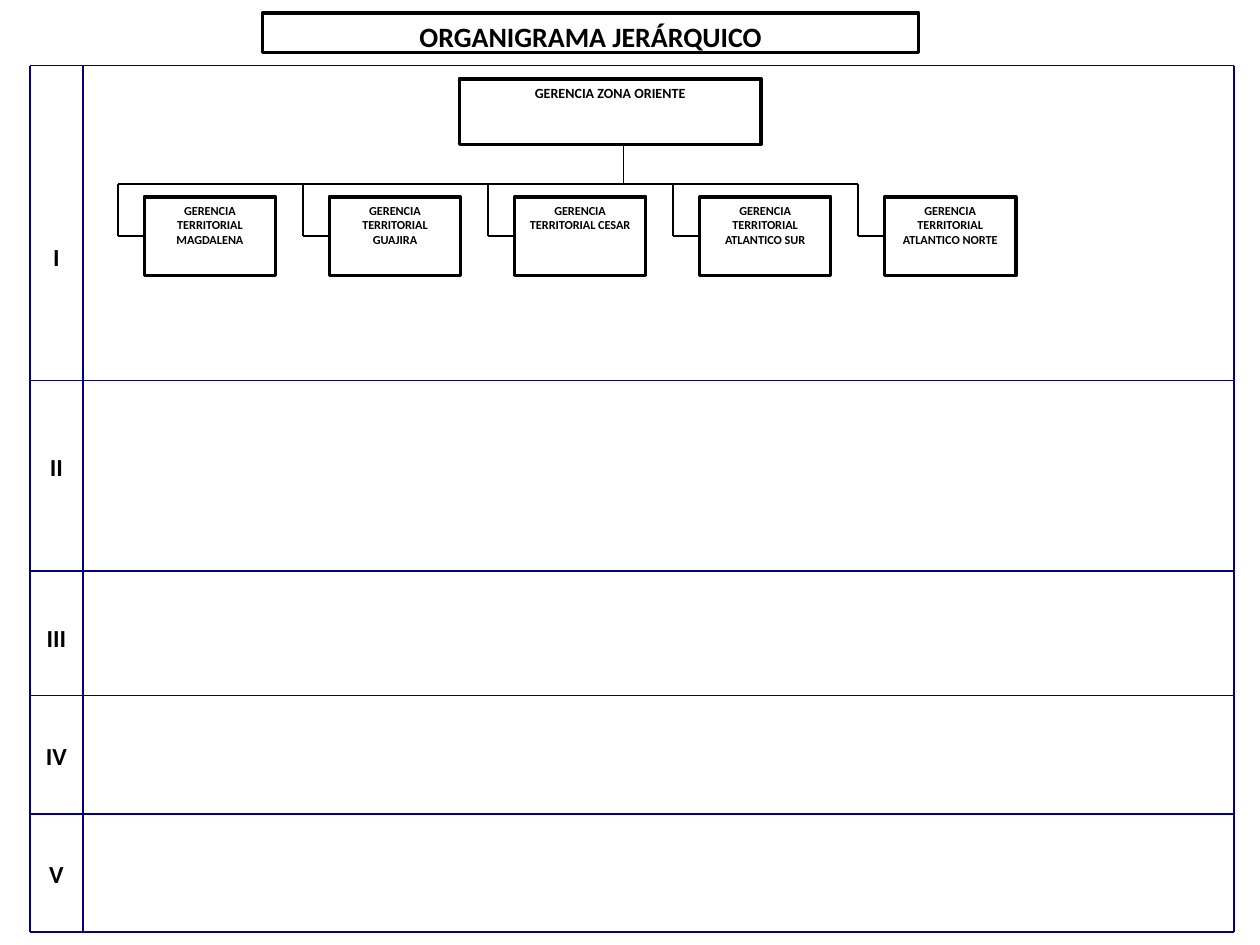
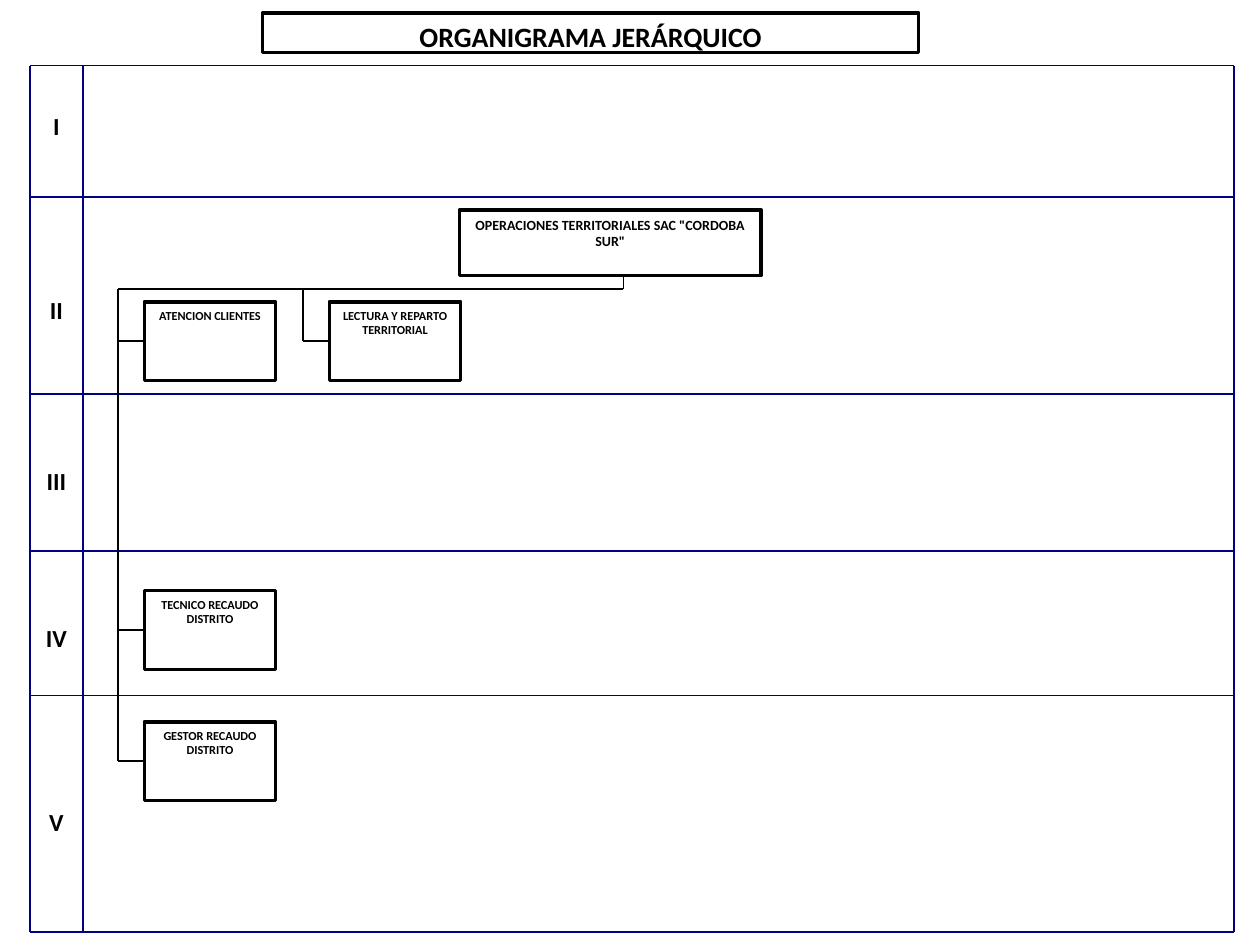
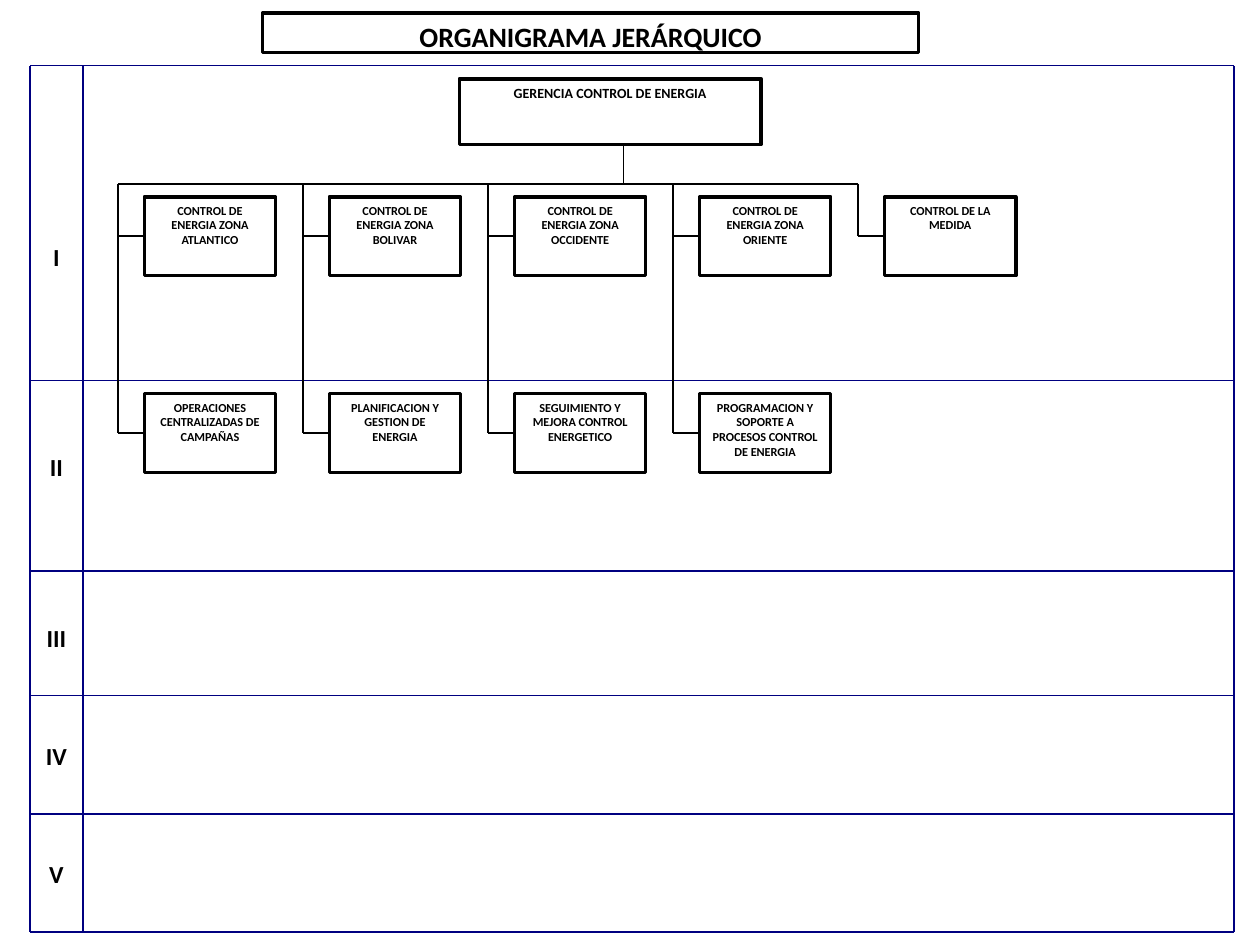
from pptx import Presentation
from pptx.dml.color import RGBColor
from pptx.enum.shapes import MSO_CONNECTOR, MSO_SHAPE
from pptx.enum.text import MSO_ANCHOR, PP_ALIGN
from pptx.oxml.ns import qn
from pptx.util import Pt
from lxml import etree

RECT = MSO_SHAPE.RECTANGLE
STRAIGHT = MSO_CONNECTOR.STRAIGHT
TOP = MSO_ANCHOR.TOP
CENTER = PP_ALIGN.CENTER

BLACK = RGBColor(0x00, 0x00, 0x00)
NAVY = RGBColor(0x00, 0x00, 0x80)
FONT = "Calibri"
PX = 9525  # EMU per px, 96 px to the inch

# Frame of hierarchy levels
FRAME_LEFT, LABEL_RIGHT, FRAME_RIGHT = 23, 63, 940
FRAME_TOP, FRAME_BOTTOM = 50, 710
LABEL_H = 30

# Organisation chart grid
HEAD_X, HEAD_W, HEAD_H = 350, 230, 50
STEM_X = 475
BRANCH_X, COLUMN_STEP = 90, 141
UNIT_INDENT, UNIT_W, UNIT_H = 20, 100, 60

# Each level: numeral, top of its label, bottom of its band
WIDE_FIRST_LEVELS = [("I", 180, 290), ("II", 340, 435), ("III", 470, 530),
                     ("IV", 560, 620), ("V", 650, FRAME_BOTTOM)]
WIDE_LAST_LEVELS = [("I", 80, 150), ("II", 220, 300), ("III", 350, 420),
                    ("IV", 470, 530), ("V", 610, FRAME_BOTTOM)]

# Each chart: levels, head, head top, bus height, rows of units by top
CHARTS = [
    (WIDE_FIRST_LEVELS, "GERENCIA ZONA ORIENTE", 60, 140, {
        150: ["GERENCIA TERRITORIAL MAGDALENA",
              "GERENCIA TERRITORIAL GUAJIRA",
              "GERENCIA TERRITORIAL CESAR",
              "GERENCIA TERRITORIAL ATLANTICO SUR",
              "GERENCIA TERRITORIAL ATLANTICO NORTE"],
    }),
    (WIDE_LAST_LEVELS, 'OPERACIONES TERRITORIALES SAC "CORDOBA SUR"', 160, 220, {
        230: ["ATENCION CLIENTES", "LECTURA Y REPARTO TERRITORIAL"],
        450: ["TECNICO RECAUDO DISTRITO"],
        550: ["GESTOR RECAUDO DISTRITO"],
    }),
    (WIDE_FIRST_LEVELS, "GERENCIA CONTROL DE ENERGIA", 60, 140, {
        150: ["CONTROL DE ENERGIA ZONA ATLANTICO",
              "CONTROL DE ENERGIA ZONA BOLIVAR",
              "CONTROL DE ENERGIA ZONA OCCIDENTE",
              "CONTROL DE ENERGIA ZONA ORIENTE",
              "CONTROL DE LA MEDIDA"],
        300: ["OPERACIONES CENTRALIZADAS DE CAMPAÑAS",
              "PLANIFICACION Y GESTION DE ENERGIA",
              "SEGUIMIENTO Y MEJORA CONTROL ENERGETICO",
              "PROGRAMACION Y SOPORTE A PROCESOS CONTROL DE ENERGIA"],
    }),
]


def px(*lengths):
    return [n * PX for n in lengths]


def write(sp, text, size):
    tf = sp.text_frame
    tf.word_wrap = True
    tf.vertical_anchor = TOP
    p = tf.paragraphs[0]
    p.alignment = CENTER
    r = p.add_run()
    r.text = text
    r.font.name = FONT
    r.font.size = Pt(size)
    r.font.bold = True
    r.font.color.rgb = BLACK


def add_box(s, x, y, w, h, text, size):
    sp = s.shapes.add_shape(RECT, *px(x, y, w, h))
    sp.shadow.inherit = False
    sp.fill.background()
    sp.line.color.rgb = BLACK
    sp.line.width = Pt(2)
    write(sp, text, size)
    return sp


def add_line(s, x1, y1, x2, y2, color=BLACK):
    line = s.shapes.add_connector(STRAIGHT, *px(x1, y1, x2, y2))
    line.line.color.rgb = color
    line.line.width = Pt(1)
    etree.SubElement(line._element.spPr, qn("a:effectLst"))
    return line


def add_levels(s, levels):
    for x in (FRAME_LEFT, LABEL_RIGHT, FRAME_RIGHT):
        add_line(s, x, FRAME_TOP, x, FRAME_BOTTOM, NAVY)
    for y in [FRAME_TOP] + [bottom for _, _, bottom in levels]:
        add_line(s, FRAME_LEFT, y, FRAME_RIGHT, y, NAVY)
    for numeral, y, _ in levels:
        label = s.shapes.add_textbox(
            *px(FRAME_LEFT, y, LABEL_RIGHT - FRAME_LEFT, LABEL_H))
        write(label, numeral, 14)


def add_units(s, bus_y, rows):
    trunk_ends = {}
    for y, names in rows.items():
        mid_y = y + UNIT_H // 2
        for column, name in enumerate(names):
            x = BRANCH_X + column * COLUMN_STEP
            unit = add_box(s, x + UNIT_INDENT, y, UNIT_W, UNIT_H, name, 7)
            stub = add_line(s, x, mid_y, x + UNIT_INDENT, mid_y)
            stub.end_connect(unit, 1)
            trunk_ends[x] = mid_y
    for x, end_y in trunk_ends.items():
        add_line(s, x, bus_y, x, end_y)
    add_line(s, BRANCH_X, bus_y, max(STEM_X, *trunk_ends), bus_y)


def add_chart_slide(prs, levels, head, head_y, bus_y, rows):
    s = prs.slides.add_slide(prs.slide_layouts[6])
    add_box(s, 200, 10, 500, 30, "ORGANIGRAMA JERÁRQUICO", 16)
    add_levels(s, levels)
    add_box(s, HEAD_X, head_y, HEAD_W, HEAD_H, head, 8)
    add_line(s, STEM_X, head_y + HEAD_H, STEM_X, bus_y)
    add_units(s, bus_y, rows)


def main():
    prs = Presentation()
    prs.slide_width, prs.slide_height = px(960, 720)
    for chart in CHARTS:
        add_chart_slide(prs, *chart)
    prs.save("out.pptx")


if __name__ == "__main__":
    main()
